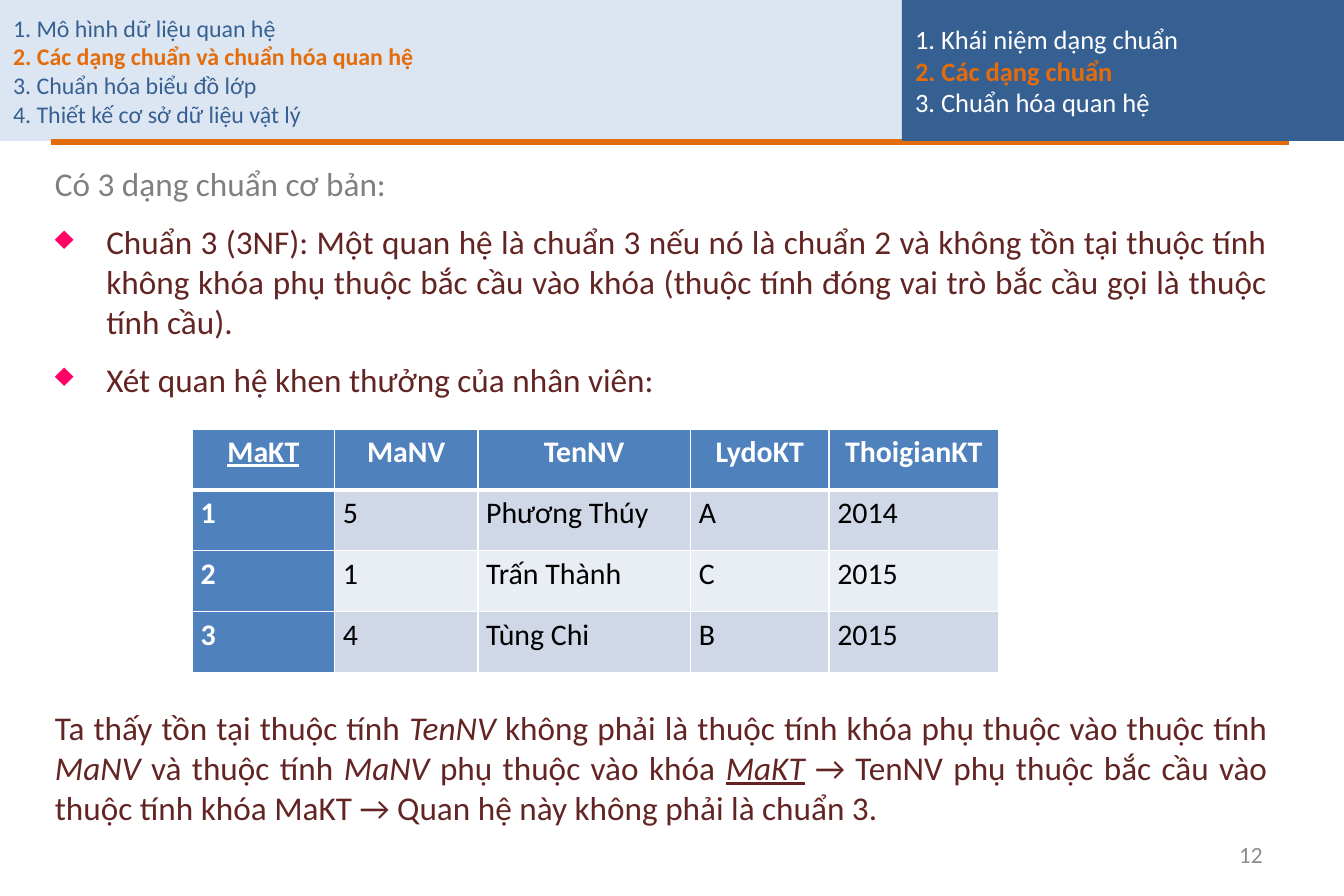
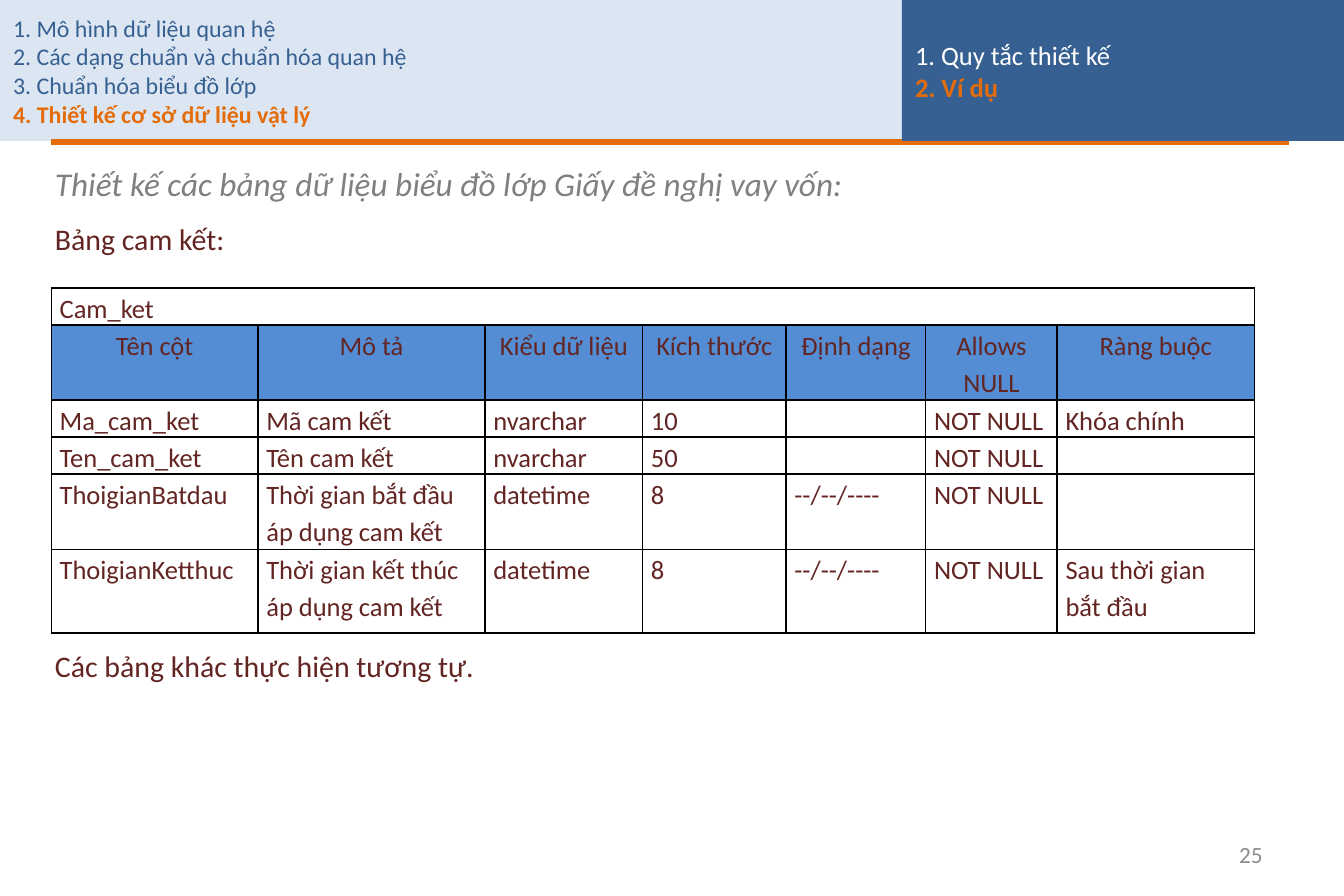
import lxml.etree
import pptx
import pptx.dml.color
import pptx.enum.shapes
import pptx.enum.text
import pptx.oxml.ns
import pptx.util

ALIGN = pptx.enum.text.PP_ALIGN
ANCHOR = pptx.enum.text.MSO_ANCHOR
SHAPES = pptx.enum.shapes

CHAPTERS = [
    "1. Mô hình dữ liệu quan hệ",
    "2. Các dạng chuẩn và chuẩn hóa quan hệ",
    "3. Chuẩn hóa biểu đồ lớp",
    "4. Thiết kế cơ sở dữ liệu vật lý",
]


def colour(value):
    return pptx.dml.color.RGBColor.from_string(value)


def element(parent, tag, **attributes):
    return lxml.etree.SubElement(parent, pptx.oxml.ns.qn(tag), attributes)


class Deck:
    FONT = "Calibri"
    COLUMNS, ROWS = 45, 30
    PALE, NAVY, ORANGE = "DCE6F2", "376092", "E46C0A"
    WHITE, BLACK = "FFFFFF", "000000"
    GREY, NUMBER, MAROON, PINK = "808080", "8C8C8C", "632523", "FF0066"
    HEADER_HEIGHT = 4.72
    BODY_LEFT, BODY_TOP, BODY_WIDTH = 1.4, 5.24, 41.48

    def __init__(self):
        self.presentation = pptx.Presentation()
        self.presentation.slide_width = pptx.util.Inches(11.25)
        self.presentation.slide_height = pptx.util.Inches(7.5)
        self.slide = None

    def x(self, columns):
        return round(self.presentation.slide_width * columns / self.COLUMNS)

    def y(self, rows):
        return round(self.presentation.slide_height * rows / self.ROWS)

    def place(self, left, top, width, height):
        return self.x(left), self.y(top), self.x(width), self.y(height)

    def start(self, number, chapter, sections, section):
        layout = self.presentation.slide_layouts[6]
        self.slide = self.presentation.slides.add_slide(layout)
        self.band(0, 31.48, self.PALE, CHAPTERS, chapter, 14.4, self.NAVY)
        self.rule()
        self.band(30.2, 14.8, self.NAVY, sections, section, 16, self.WHITE)
        self.page_number(number)

    def band(self, left, width, fill, lines, current, size, text_colour):
        place = self.place(left, 0, width, self.HEADER_HEIGHT)
        shape = self.slide.shapes.add_shape(SHAPES.MSO_SHAPE.RECTANGLE, *place)
        shape.shadow.inherit = False
        shape.fill.solid()
        shape.fill.fore_color.rgb = colour(fill)
        shape.line.fill.background()
        frame = self.prepare(shape, ANCHOR.MIDDLE)
        frame.text = "\n".join(lines)
        for position, paragraph in enumerate(frame.paragraphs, 1):
            active = position == current
            shade = self.ORANGE if active else text_colour
            self.format(paragraph, size, shade, bold=active)

    def rule(self):
        connector = self.slide.shapes.add_connector(
            SHAPES.MSO_CONNECTOR.STRAIGHT,
            self.x(1.72), self.y(4.76), self.x(43.16), self.y(4.76))
        connector.line.color.rgb = colour(self.ORANGE)
        connector.line.width = pptx.util.Pt(4)
        element(connector._element.spPr, "a:effectLst")

    def page_number(self, number):
        place = self.place(32.24, 27.8, 10.48, 1.6)
        box = self.slide.shapes.add_textbox(*place)
        frame = self.prepare(box, ANCHOR.MIDDLE)
        frame.text = str(number)
        self.format(frame.paragraphs[0], 14, self.NUMBER, ALIGN.RIGHT)

    def body(self, top, height):
        place = self.place(self.BODY_LEFT, top, self.BODY_WIDTH, height)
        return self.prepare(self.slide.shapes.add_textbox(*place), ANCHOR.TOP)

    def prepare(self, shape, anchor):
        frame = shape.text_frame
        frame.word_wrap = True
        frame.vertical_anchor = anchor
        frame.margin_left = frame.margin_right = self.x(0.44)
        frame.margin_top = frame.margin_bottom = self.y(0.24)
        return frame

    def statement(self, frame, runs, size=20, shade=MAROON, bullet=False):
        first = not frame.text
        paragraph = frame.paragraphs[0] if first else frame.add_paragraph()
        for text, marks in runs:
            run = paragraph.add_run()
            run.text = text
            run.font.italic = "i" in marks
            run.font.underline = "u" in marks
        paragraph.space_before = pptx.util.Pt(0 if first else size / 5)
        paragraph.space_after = pptx.util.Pt(6.8)
        if bullet:
            properties = paragraph._p.get_or_add_pPr()
            properties.set("marL", str(self.x(1.72)))
            properties.set("indent", str(-self.x(1.72)))
            element(element(properties, "a:buClr"), "a:srgbClr", val=self.PINK)
            element(properties, "a:buChar", char="♦")
        self.format(paragraph, size, shade, ALIGN.JUSTIFY)

    def format(self, paragraph, size, shade, align=ALIGN.LEFT, bold=False):
        paragraph.alignment = align
        for run in paragraph.runs:
            run.font.name = self.FONT
            run.font.size = pptx.util.Pt(size)
            run.font.color.rgb = colour(shade)
            run.font.bold = bold

    def table(self, left, top, widths, heights, rows, style):
        place = self.place(left, top, sum(widths), sum(heights))
        table = self.slide.shapes.add_table(len(rows), len(widths), *place).table
        table.horz_banding = False
        for column, width in zip(table.columns, widths):
            column.width = self.x(width)
        for row, height in zip(table.rows, heights):
            row.height = self.y(height)
        for row_index, values in enumerate(rows):
            for column_index, value in enumerate(values):
                look = style(row_index, column_index)
                self.cell(table.cell(row_index, column_index), value, **look)
        return table

    def cell(self, cell, value, size, shade, fill, border, align=ALIGN.LEFT,
             bold=False, underline=False, after=0, top=1, bottom=1):
        cell.margin_left = cell.margin_right = self.x(0.28)
        cell.margin_top = cell.margin_bottom = 0
        properties = cell._tc.get_or_add_tcPr()
        for side, width in zip("LRTB", (1, 1, top, bottom)):
            line = element(properties, f"a:ln{side}", w=str(pptx.util.Pt(width)))
            element(element(line, "a:solidFill"), "a:srgbClr", val=border)
        if fill:
            cell.fill.solid()
            cell.fill.fore_color.rgb = colour(fill)
        else:
            cell.fill.background()
        if value:
            cell.text_frame.text = value
            paragraph = cell.text_frame.paragraphs[0]
            paragraph.line_spacing = 1.15
            paragraph.space_after = pptx.util.Pt(after)
            self.format(paragraph, size, shade, align, bold)
            paragraph.runs[0].font.underline = underline


def reward_style(row, column):
    header = row == 0
    strong = header or column == 0
    stripe = "D0D8E8" if row % 2 else "E9EDF4"
    return dict(
        size=18, border=Deck.WHITE, after=6, bold=strong,
        shade=Deck.WHITE if strong else Deck.BLACK,
        fill="4F81BD" if strong else stripe,
        align=ALIGN.CENTER if header else ALIGN.LEFT,
        underline=header and column == 0,
        top=3 if row == 1 else 1, bottom=3 if header else 1)


def commitment_style(row, column):
    header = row == 1
    return dict(
        size=16, border=Deck.BLACK, shade=Deck.MAROON,
        fill="548DD4" if header else None,
        align=ALIGN.CENTER if header else ALIGN.LEFT)


def third_normal_form(deck):
    sections = ["1. Khái niệm dạng chuẩn", "2. Các dạng chuẩn",
                "3. Chuẩn hóa quan hệ"]
    deck.start(12, 2, sections, 2)
    frame = deck.body(deck.BODY_TOP, 8.6)
    deck.statement(frame, [("Có 3 dạng chuẩn cơ bản:", "")], shade=deck.GREY)
    for text in (
        "Chuẩn 3 (3NF): Một quan hệ là chuẩn 3 nếu nó là chuẩn 2 và không tồn "
        "tại thuộc tính không khóa phụ thuộc bắc cầu vào khóa (thuộc tính đóng "
        "vai trò bắc cầu gọi là thuộc tính cầu).",
        "Xét quan hệ khen thưởng của nhân viên:",
    ):
        deck.statement(frame, [(text, "")], bullet=True)
    rows = [
        ["MaKT", "MaNV", "TenNV", "LydoKT", "ThoigianKT"],
        ["1", "5", "Phương Thúy", "A", "2014"],
        ["2", "1", "Trấn Thành", "C", "2015"],
        ["3", "4", "Tùng Chi", "B", "2015"],
    ]
    widths = [4.76, 4.8, 7.12, 4.64, 5.68]
    deck.table(6.44, 14.36, widths, [2.04] * len(rows), rows, reward_style)
    deck.statement(deck.body(23.44, 4.6), [
        ("Ta thấy tồn tại thuộc tính ", ""),
        ("TenNV", "i"),
        (" không phải là thuộc tính khóa phụ thuộc vào thuộc tính ", ""),
        ("MaNV ", "i"),
        ("và thuộc tính ", ""),
        ("MaNV", "i"),
        (" phụ thuộc vào khóa ", ""),
        ("MaKT", "iu"),
        (" → TenNV phụ thuộc bắc cầu vào thuộc tính khóa MaKT → "
         "Quan hệ này không phải là chuẩn 3.", ""),
    ])


def commitment_table(deck):
    deck.start(25, 4, ["1. Quy tắc thiết kế", "2. Ví dụ"], 2)
    frame = deck.body(deck.BODY_TOP, 4)
    title = "Thiết kế các bảng dữ liệu biểu đồ lớp Giấy đề nghị vay vốn:"
    deck.statement(frame, [(title, "i")], shade=deck.GREY)
    deck.statement(frame, [("Bảng cam kết:", "")], size=18)
    rows = [
        ["Cam_ket"] + [""] * 6,
        ["Tên cột", "Mô tả", "Kiểu dữ liệu", "Kích thước", "Định dạng",
         "Allows NULL", "Ràng buộc"],
        ["Ma_cam_ket", "Mã cam kết", "nvarchar", "10", "", "NOT NULL",
         "Khóa chính"],
        ["Ten_cam_ket", "Tên cam kết", "nvarchar", "50", "", "NOT NULL", ""],
        ["ThoigianBatdau", "Thời gian bắt đầu áp dụng cam kết", "datetime",
         "8", "--/--/----", "NOT NULL", ""],
        ["ThoigianKetthuc", "Thời gian kết thúc áp dụng cam kết", "datetime",
         "8", "--/--/----", "NOT NULL", "Sau thời gian bắt đầu"],
    ]
    widths = [6.92, 7.6, 5.28, 4.8, 4.68, 4.4, 6.6]
    heights = [1.24, 2.52, 1.24, 1.24, 2.52, 2.8]
    table = deck.table(1.72, 9.64, widths, heights, rows, commitment_style)
    table.cell(0, 0).merge(table.cell(0, len(widths) - 1))
    closing = "Các bảng khác thực hiện tương tự."
    deck.statement(deck.body(21.44, 2), [(closing, "")], size=18)


def main():
    deck = Deck()
    third_normal_form(deck)
    commitment_table(deck)
    deck.presentation.save("out.pptx")


if __name__ == "__main__":
    main()
